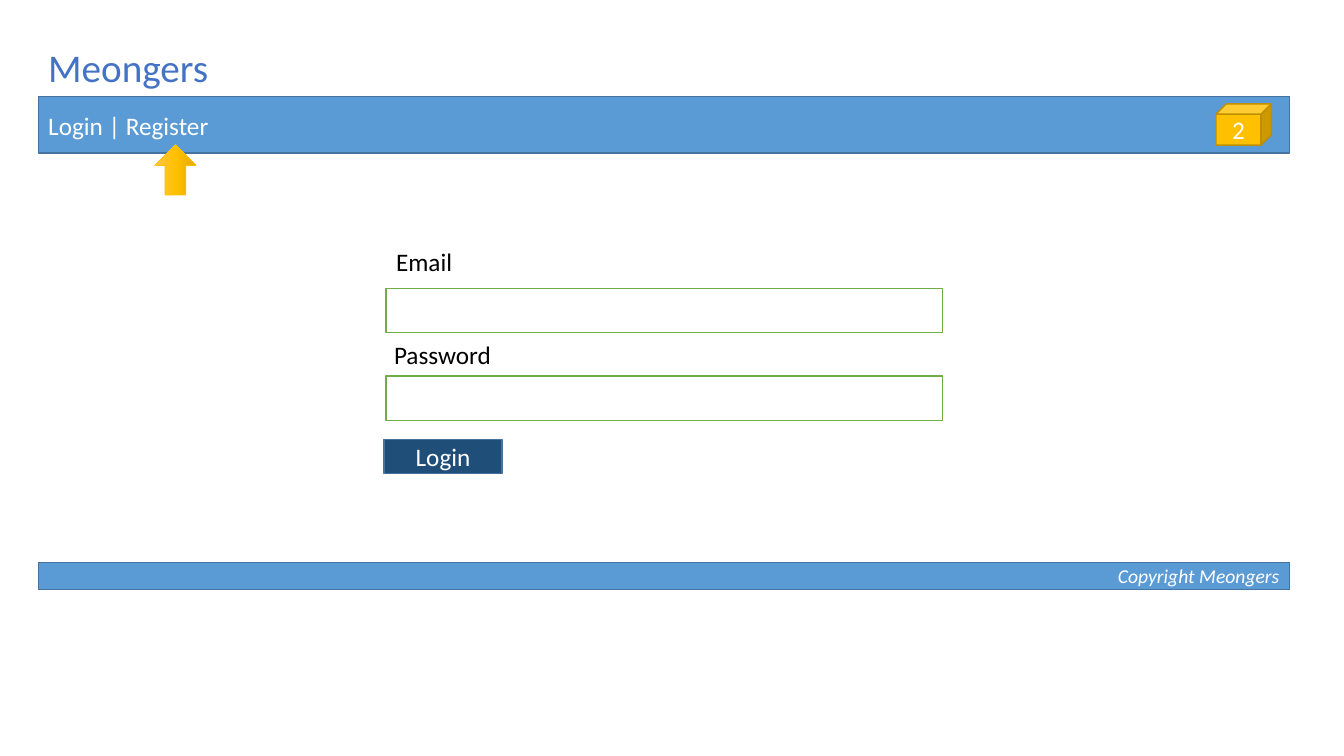
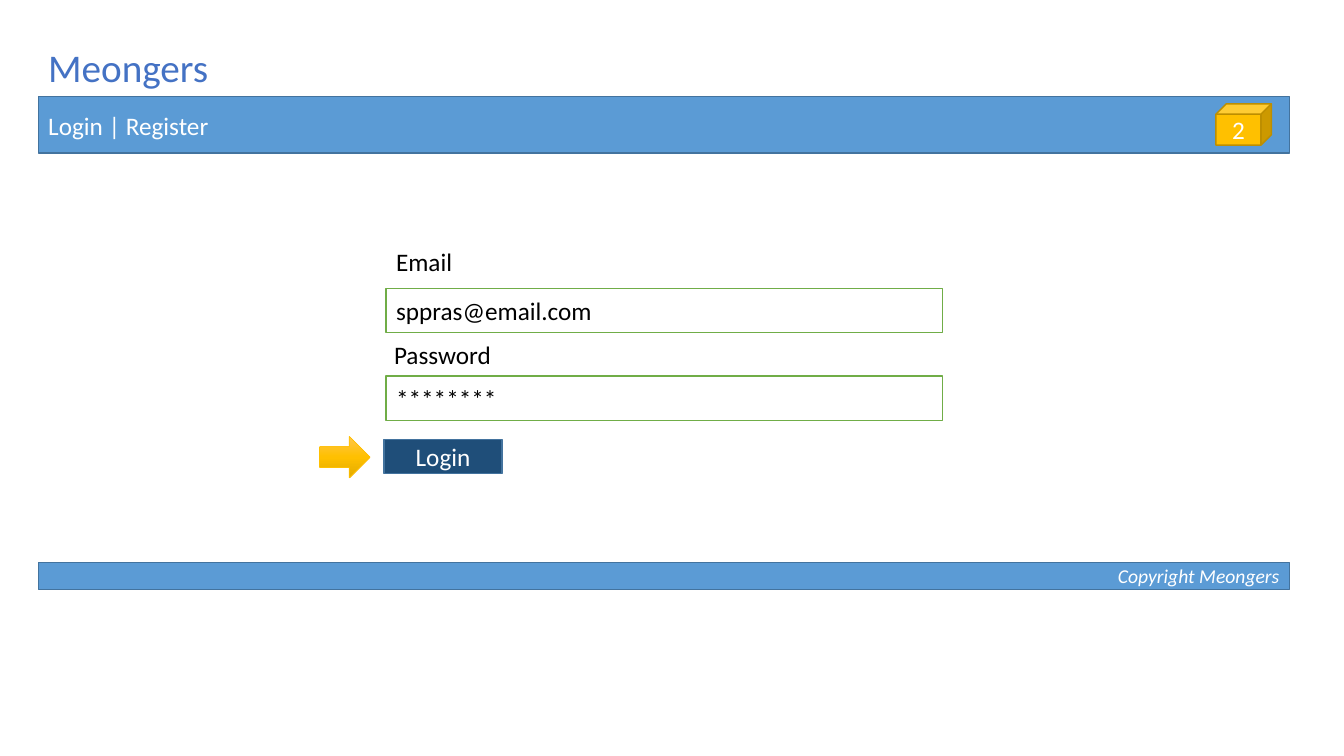
from lxml.etree import SubElement
from pptx import Presentation
from pptx.dml.color import RGBColor
from pptx.enum.shapes import MSO_SHAPE
from pptx.enum.text import MSO_ANCHOR, MSO_AUTO_SIZE, PP_ALIGN
from pptx.oxml.ns import qn
from pptx.util import Emu, Pt

# Scale: 100 px to the inch
EMU_PER_PX = 9144
SLIDE_SIZE = (1333, 750)

# Shared style
FONT = "Calibri"
WHITE, BLACK = "FFFFFF", "000000"
BLUE, BLUE_EDGE, NAVY = "5B9BD5", "43739E", "1F4E79"
GOLD, GOLD_EDGE, GREEN = "FFC000", "BD8E00", "70AD47"
TITLE_GRADIENT = [(0, "203864"), (50, "4472C4"), (100, "8FAADC")]
ARROW_GRADIENT = [(0, "FFC64B"), (50, GOLD), (100, "E3AB00")]

BAR = {"fill": BLUE, "edge": BLUE_EDGE}
FIELD = {"fill": WHITE, "edge": GREEN, "color": BLACK}
BUTTON = {"fill": NAVY, "edge": BLUE_EDGE, "align": PP_ALIGN.CENTER}
BADGE = {"fill": GOLD, "edge": GOLD_EDGE, "align": PP_ALIGN.CENTER,
         "kind": MSO_SHAPE.CUBE}
FOOTER = {**BAR, "align": PP_ALIGN.RIGHT, "size": 14, "italic": True}

# Content shared by every page: text, box (left, top, width, height), style
FRAME_SHAPES = [
    ("Login | Register", (38, 96, 1241, 56), BAR),
    ("2", (1206, 103, 55, 41), BADGE),
    ("Copyright Meongers", (38, 558, 1241, 27), FOOTER),
    ("Login", (381, 436, 117, 34), BUTTON),
]
FRAME_LABELS = [
    ("Meongers", (38, 38, 181, 57), {"size": 28, "gradient": TITLE_GRADIENT}),
    ("Email", (383, 239, 76, 40), {}),
    ("Password", (381, 332, 117, 40), {}),
]
FIELD_BOXES = [(383, 286, 552, 44), (383, 373, 552, 44)]

# What differs from page to page
PAGES = [
    {"fields": ["", ""], "arrow": (149, 148, 50, 41), "rotation": 270},
    {"fields": ["sppras@email.com", "********"],
     "arrow": (317, 433, 50, 41), "rotation": 0},
]


def px(value):
    return Emu(value * EMU_PER_PX)


def rgb(value):
    return RGBColor.from_string(value)


def paint_solid(fill, color):
    fill.solid()
    fill.fore_color.rgb = rgb(color)


def paint_gradient(fill, element, stops):
    """Fill from top to bottom with any number of stops."""
    fill.gradient()
    fill.gradient_angle = 270
    stop_list = next(element.iter(qn("a:gsLst")))
    for stop in list(stop_list):
        stop_list.remove(stop)
    for percent, color in stops:
        stop = SubElement(stop_list, qn("a:gs"), pos=str(percent * 1000))
        SubElement(stop, qn("a:srgbClr"), val=color)


def write(shape, text, color, size=18, align=PP_ALIGN.LEFT, italic=None, gradient=None):
    paragraph = shape.text_frame.paragraphs[0]
    paragraph.alignment = align
    run = paragraph.add_run()
    run.text = text
    font_format = {"name": FONT, "size": Pt(size), "italic": italic}
    for name, value in font_format.items():
        setattr(run.font, name, value)
    if gradient:
        paint_gradient(run.font.fill, run._r, gradient)
    else:
        run.font.color.rgb = rgb(color)


def add_box(slide, box, edge, fill=None, kind=MSO_SHAPE.RECTANGLE, text="",
            color=WHITE, line_width=1, gradient=None, **text_format):
    shape = slide.shapes.add_shape(kind, *map(px, box))
    shape.shadow.inherit = False
    if gradient:
        paint_gradient(shape.fill, shape._element, gradient)
    else:
        paint_solid(shape.fill, fill)
    paint_solid(shape.line.fill, edge)
    shape.line.width = Pt(line_width)
    if text:
        shape.text_frame.vertical_anchor = MSO_ANCHOR.MIDDLE
        write(shape, text, color, **text_format)
    return shape


def add_label(slide, text, box, style):
    label = slide.shapes.add_textbox(*map(px, box))
    frame_format = {"word_wrap": False, "auto_size": MSO_AUTO_SIZE.SHAPE_TO_FIT_TEXT}
    for name, value in frame_format.items():
        setattr(label.text_frame, name, value)
    write(label, text, BLACK, **style)


def add_page(presentation, page):
    slide = presentation.slides.add_slide(presentation.slide_layouts[6])
    # Bars, badge, button and labels
    for text, box, style in FRAME_SHAPES:
        add_box(slide, box, text=text, **style)
    for text, box, style in FRAME_LABELS:
        add_label(slide, text, box, style)
    # Form fields
    for text, box in zip(page["fields"], FIELD_BOXES):
        add_box(slide, box, text=text, **FIELD)
    # Pointer to the next click
    arrow = add_box(slide, page["arrow"], GOLD, kind=MSO_SHAPE.RIGHT_ARROW,
                    line_width=0.5, gradient=ARROW_GRADIENT)
    arrow.rotation = page["rotation"]


def main():
    presentation = Presentation()
    presentation.slide_width, presentation.slide_height = map(px, SLIDE_SIZE)
    for page in PAGES:
        add_page(presentation, page)
    presentation.save("out.pptx")


if __name__ == "__main__":
    main()
